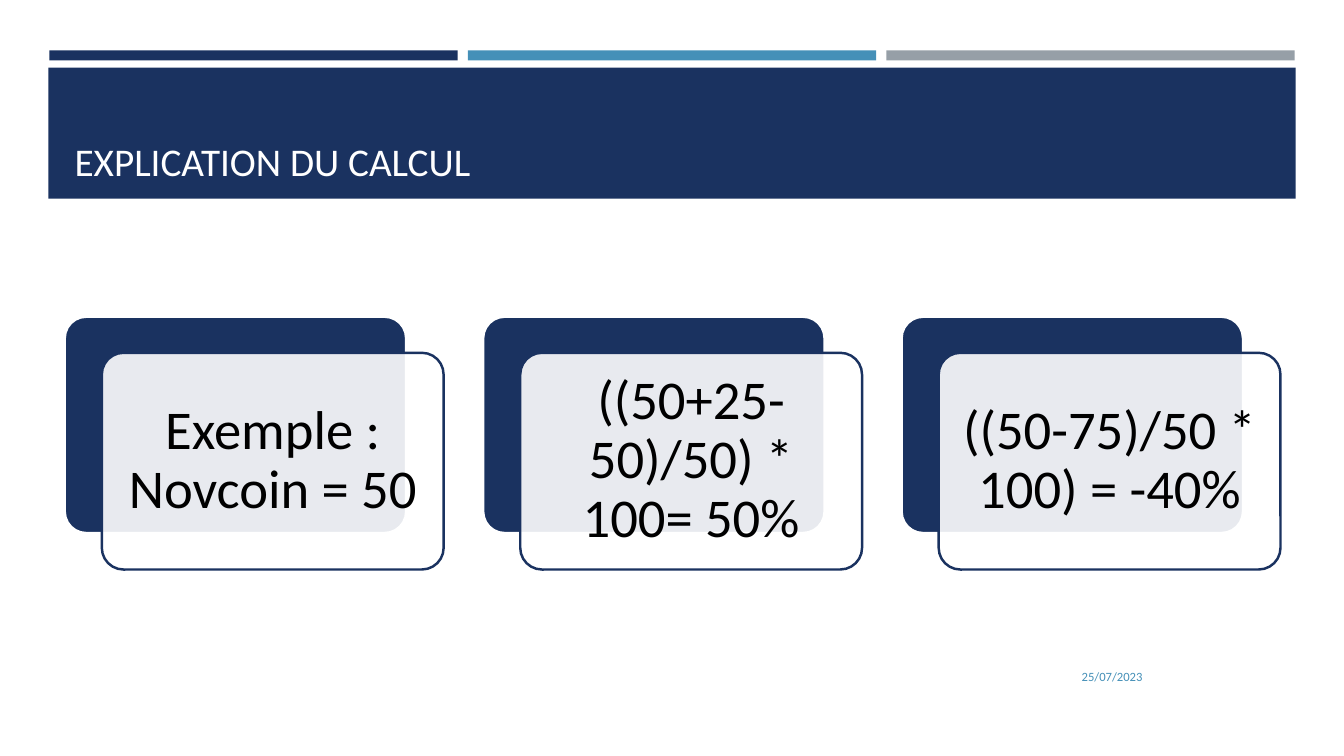
from lxml import etree
from pptx import Presentation
from pptx.dml.color import RGBColor
from pptx.enum import shapes, text
from pptx.oxml.ns import qn
from pptx.util import Inches, Pt

COLORS = {"navy": "1A3260", "blue": "4590B8", "grey": "969FA7",
          "white": "FFFFFF", "black": "000000"}
FONT = "Calibri"
PITCH = 4.15
STEPS = ["Exemple : Novcoin = 50",
         "((50+25-50)/50) * 100= 50%",
         "((50-75)/50 * 100) = -40%"]


def rgb(name):
    return RGBColor.from_string(COLORS[name])


def write(sp, content, size, color, align, anchor):
    tf = sp.text_frame
    tf.text = content
    tf.word_wrap = True
    tf.vertical_anchor = anchor
    p = tf.paragraphs[0]
    p.alignment = align
    font = p.runs[0].font
    font.size, font.name = Pt(size), FONT
    font.color.rgb = rgb(color)
    return tf


def add_box(slide, kind, box, fill, line=None, width=0):
    sp = slide.shapes.add_shape(kind, *map(Inches, box))
    sp.shadow.inherit = False
    sp.fill.solid()
    sp.fill.fore_color.rgb = rgb(fill)
    if line:
        sp.line.color.rgb = rgb(line)
        sp.line.width = Pt(width)
    else:
        sp.line.fill.background()
    return sp


def add_header(slide, title):
    rect = shapes.MSO_SHAPE.RECTANGLE
    for i, color in enumerate(["navy", "blue", "grey"]):
        add_box(slide, rect, (0.49 + PITCH * i, 0.5, 4.05, 0.1), color)
    add_box(slide, rect, (0.48, 0.67, 12.37, 1.3), "navy")
    sp = slide.shapes.title
    sp.left, sp.top, sp.width, sp.height = map(Inches, (0.64, 0.77, 12.06, 1.11))
    write(sp, title, 28, "white", text.PP_ALIGN.LEFT, text.MSO_ANCHOR.BOTTOM)
    sp.element.getparent().append(sp.element)


def add_step(slide, left, content):
    rounded = shapes.MSO_SHAPE.ROUNDED_RECTANGLE
    back = add_box(slide, rounded, (left, 3.14, 3.39, 2.15), "navy", "white", 2)
    card = add_box(slide, rounded, (left + 0.37, 3.5, 3.39, 2.15), "white", "navy", 1.75)
    for sp in (back, card):
        sp.adjustments[0] = 0.1
    fill = card.element.spPr.find(qn("a:solidFill"))
    etree.SubElement(fill[0], qn("a:alpha"), val="90000")
    tf = write(card, content, 39, "black", text.PP_ALIGN.CENTER, text.MSO_ANCHOR.MIDDLE)
    tf.margin_left = tf.margin_right = tf.margin_top = tf.margin_bottom = Inches(0.16)
    tf.paragraphs[0].line_spacing = 0.9


def add_date(slide, date):
    sp = slide.shapes.add_textbox(*map(Inches, (8.32, 6.51, 3.11, 0.4)))
    write(sp, date, 9, "blue", text.PP_ALIGN.RIGHT, text.MSO_ANCHOR.MIDDLE)


def main():
    prs = Presentation()
    prs.slide_width, prs.slide_height = Inches(13.33), Inches(7.5)
    slide = prs.slides.add_slide(prs.slide_layouts[5])
    add_header(slide, "EXPLICATION DU CALCUL")
    for i, content in enumerate(STEPS):
        add_step(slide, 0.64 + PITCH * i, content)
    add_date(slide, "25/07/2023")
    prs.save("out.pptx")


if __name__ == "__main__":
    main()
